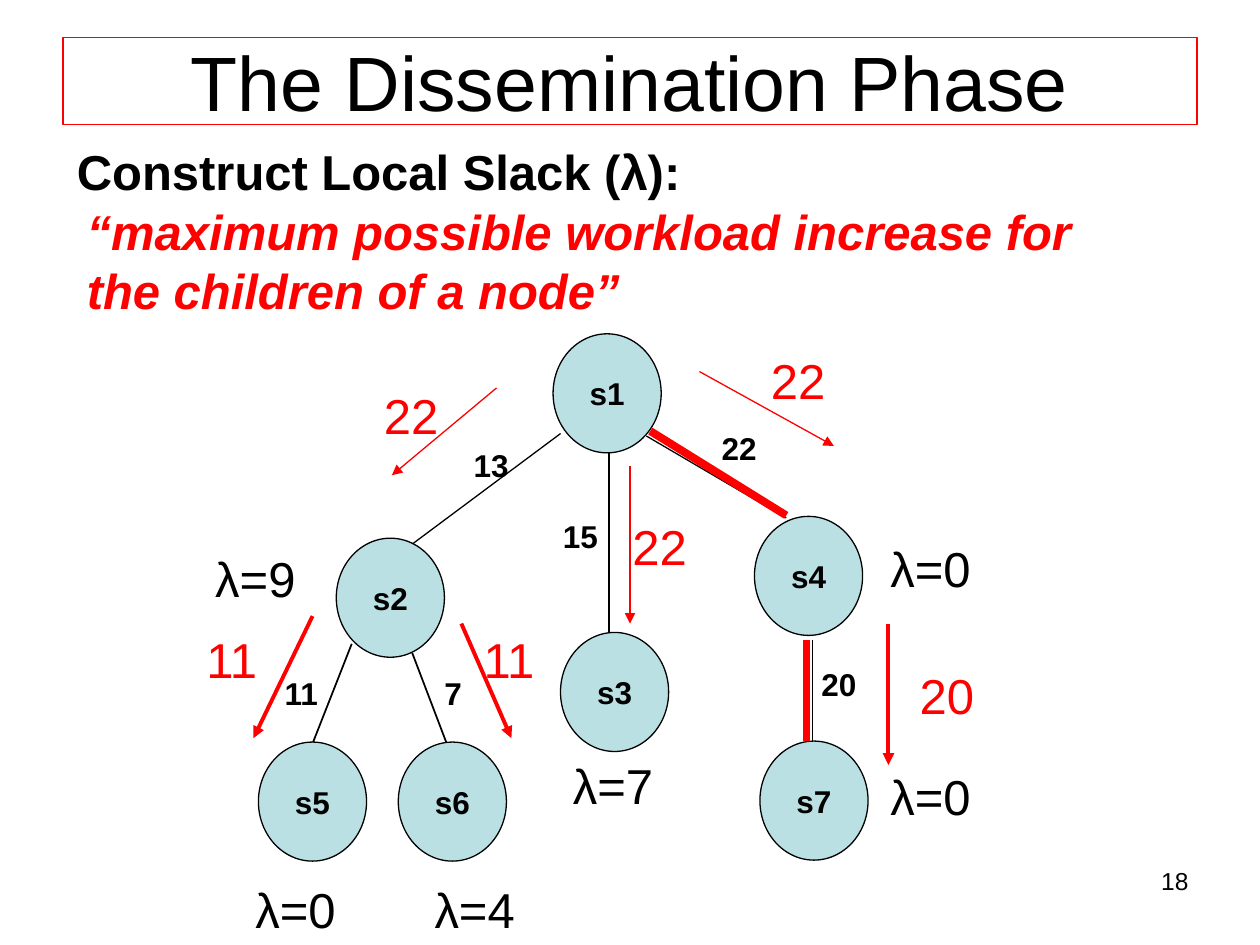
from pptx import Presentation
from pptx.dml.color import RGBColor as Color
from pptx.enum.shapes import MSO_CONNECTOR as Connector, MSO_SHAPE as Shape
from pptx.enum.text import MSO_ANCHOR as Anchor, PP_ALIGN as Align
from pptx.oxml.ns import qn
from pptx.util import Cm, Pt
from lxml.etree import SubElement

COLORS = {"black": "000000", "red": "FF0000", "node": "BBE0E3"}

FRAME = {
    "word_wrap": True,
    "margin_left": Cm(0.25),
    "margin_right": Cm(0.25),
    "margin_top": Cm(0.13),
    "margin_bottom": Cm(0.13),
    "vertical_anchor": Anchor.TOP,
}
CENTERED = {"vertical_anchor": Anchor.MIDDLE, "margin_top": 0, "margin_bottom": 0}
WEIGHT_FONT = {"size": Pt(18), "bold": True}
LARGE_FONT = {"size": Pt(28)}

NODE_SIZE = (2.18, 2.4)
NODES = {
    "s1": (7.65, 0.23),
    "s2": (3.28, 4.35),
    "s3": (7.8, 6.25),
    "s4": (11.71, 3.91),
    "s5": (1.71, 8.46),
    "s6": (4.53, 8.46),
    "s7": (11.82, 8.44),
}
EDGES = [
    ((4.81, 6.66), (5.59, 8.71), 1),
    ((3.59, 6.48), (2.8, 8.49), 1),
    ((8.77, 2.64), (8.77, 6.25), 1),
    ((7.8, 2.24), (4.81, 4.47), 0.75),
    ((9.53, 2.29), (12.35, 3.94), 0.75),
    ((12.88, 6.4), (12.88, 8.44), 0.75),
]
CRITICAL_EDGES = [
    ((9.61, 2.19), (12.35, 3.89)),
    ((12.76, 6.4), (12.76, 8.44)),
]
WEIGHTS = [
    ("13", 5.8, 2.36),
    ("15", 7.6, 3.79),
    ("22", 10.8, 2.01),
    ("11", 1.99, 6.96),
    ("7", 5.21, 6.96),
    ("20", 12.81, 6.78),
]
ALLOCATIONS = [
    ("22", (3.99, 1.15), (6.51, 1.32), (4.4, 3.08), 0.75),
    ("22", (11.79, 0.43), (10.6, 0.99), (13.31, 2.49), 0.75),
    ("22", (9, 3.79), (9.2, 2.9), (9.2, 6.07), 0.75),
    ("20", (14.79, 6.78), (14.41, 6.07), (14.41, 8.92), 2.25),
    ("11", (0.41, 6.07), (2.8, 5.92), (1.61, 8.38), 2.25),
    ("11", (6, 6.07), (5.8, 6.07), (6.81, 8.38), 2.25),
]
SLACKS = [
    ("λ=9", 0.59, 4.42),
    ("λ=7", 7.8, 8.61),
    ("λ=0", 14.2, 4.22),
    ("λ=0", 1.4, 11.1),
    ("λ=4", 5.01, 11.1),
    ("λ=0", 14.2, 8.82),
]


def apply_formats(target, formats):
    """Set every attribute named in formats on target."""
    for name, value in formats.items():
        setattr(target, name, value)


def set_line(line, color, width):
    """Give a line its colour and its width in points."""
    line.color.rgb = Color.from_string(COLORS[color])
    line.width = Pt(width)


def write(shape, text, font, color="black", align=Align.LEFT, frame=None):
    """Write one formatted paragraph into a shape."""
    text_frame = shape.text_frame
    apply_formats(text_frame, FRAME | (frame or {}))
    paragraph = text_frame.paragraphs[0]
    paragraph.alignment = align
    run = paragraph.add_run()
    run.text = text
    apply_formats(run.font, {"name": "Arial"} | font)
    run.font.color.rgb = Color.from_string(COLORS[color])


def add_text(slide, box, text, font, **options):
    """Add a text box at a left, top, width, height box in centimetres."""
    shape = slide.shapes.add_textbox(*map(Cm, box))
    write(shape, text, font, **options)
    return shape


def add_line(slide, origin, start, end, color, width, arrow=False):
    """Draw a straight line between two points relative to origin."""
    points = [Cm(base + offset) for point in (start, end) for base, offset in zip(origin, point)]
    connector = slide.shapes.add_connector(Connector.STRAIGHT, *points)
    set_line(connector.line, color, width)
    if arrow:
        SubElement(connector.line._get_or_add_ln(), qn("a:tailEnd"), type="triangle")
    SubElement(connector._element.spPr, qn("a:effectLst"))


def add_node(slide, box, name):
    """Draw one labelled tree node."""
    shape = slide.shapes.add_shape(Shape.OVAL, *map(Cm, box))
    shape.shadow.inherit = False
    shape.fill.solid()
    shape.fill.fore_color.rgb = Color.from_string(COLORS["node"])
    set_line(shape.line, "black", 0.75)
    write(shape, name, WEIGHT_FONT, align=Align.CENTER, frame=CENTERED | {"word_wrap": False})


def add_title(slide, box):
    """Place the framed title."""
    shape = add_text(slide, box, "The Dissemination Phase", {"size": Pt(44)},
                     align=Align.CENTER, frame=CENTERED)
    set_line(shape.line, "red", 0.75)


def add_definition(slide, box):
    """Place the heading and the quoted definition below it."""
    left, top, width, height = box
    heading_height = 1.22
    add_text(slide, (left, top, 14.8, 1.45), "Construct Local Slack (λ):",
             LARGE_FONT | {"bold": True})
    add_text(slide, (left + 0.2, top + heading_height, width - 0.2, height - heading_height),
             "“maximum possible workload increase for the children of a node”",
             LARGE_FONT | {"bold": True, "italic": True}, color="red")


def add_tree(slide, box):
    """Draw the tree with its weights, allocations and slacks."""
    left, top = origin = box[:2]
    for start, end, width in EDGES:
        add_line(slide, origin, start, end, "black", width)
    for name, (x, y) in NODES.items():
        add_node(slide, (left + x, top + y, *NODE_SIZE), name)
    for start, end in CRITICAL_EDGES:
        add_line(slide, origin, start, end, "red", 4.5)
    for text, x, y in WEIGHTS:
        add_text(slide, (left + x, top + y, 2.18, 1.02), text, WEIGHT_FONT)
    for text, (x, y), start, end, width in ALLOCATIONS:
        add_text(slide, (left + x, top + y, 3.35, 1.45), text, LARGE_FONT, color="red")
        add_line(slide, origin, start, end, "red", width, arrow=True)
    for text, x, y in SLACKS:
        add_text(slide, (left + x, top + y, 2.18, 1.45), text, LARGE_FONT)


def add_page_number(slide, box):
    """Place the page number at the right of its box."""
    add_text(slide, box, "18", {"size": Pt(14)}, align=Align.RIGHT)


def main():
    """Build and save the presentation."""
    presentation = Presentation()
    apply_formats(presentation, {"slide_width": Cm(25.4), "slide_height": Cm(19.05)})
    slide = presentation.slides.add_slide(presentation.slide_layouts[6])
    add_page_number(slide, (18.29, 17.32, 5.92, 1.32))
    add_title(slide, (1.27, 0.76, 22.86, 1.75))
    add_definition(slide, (1.3, 2.72, 21.4, 3.86))
    add_tree(slide, (3.5, 6.5, 18.14, 12.55))
    presentation.save("out.pptx")


if __name__ == "__main__":
    main()
